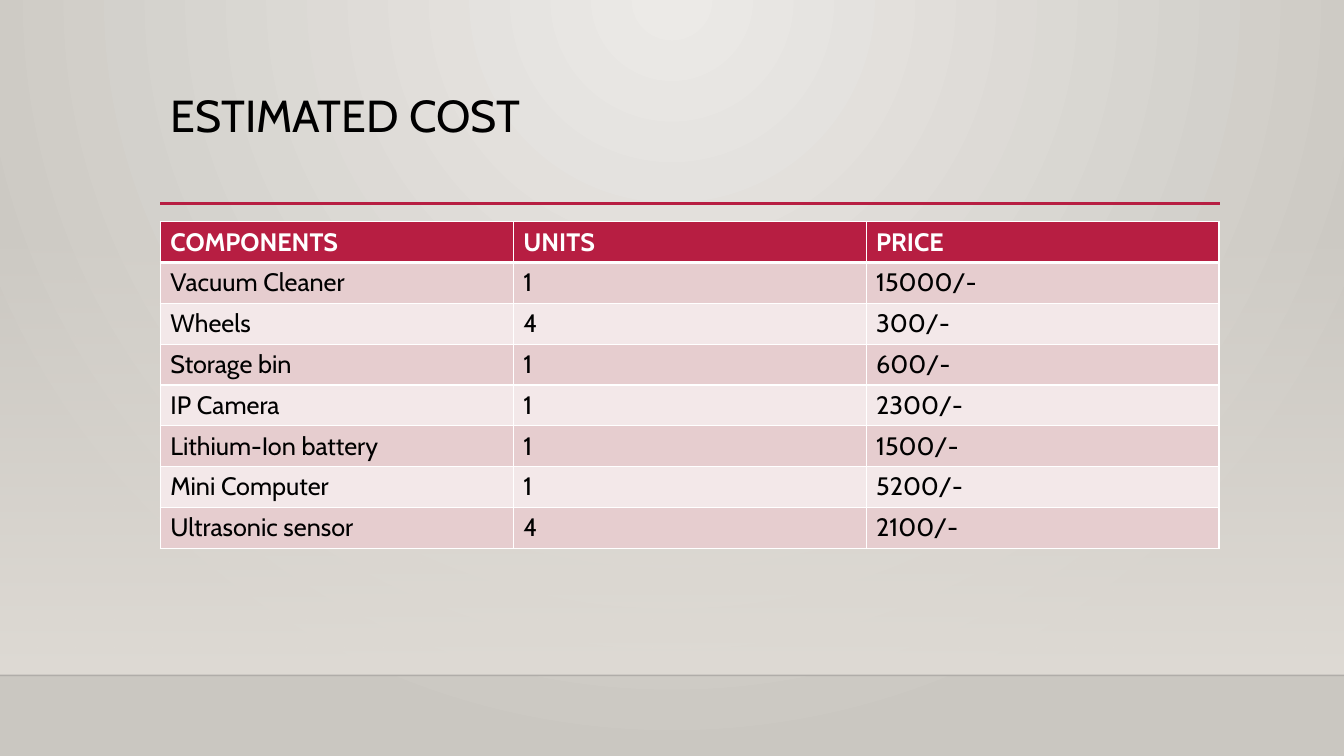
from pptx import Presentation
from pptx.dml.color import RGBColor as Rgb
from pptx.enum.shapes import MSO_CONNECTOR as Conn, MSO_SHAPE as Shape
from pptx.oxml import parse_xml
from pptx.oxml.ns import nsdecls, qn
from pptx.util import Pt

TITLE = "ESTIMATED COST"
ROWS = [
    ("COMPONENTS", "UNITS", "PRICE"),
    ("Vacuum Cleaner", "1", "15000/-"),
    ("Wheels", "4", "300/-"),
    ("Storage bin", "1", "600/-"),
    ("IP Camera", "1", "2300/-"),
    ("Lithium-Ion battery", "1", "1500/-"),
    ("Mini Computer", "1", "5200/-"),
    ("Ultrasonic sensor", "4", "2100/-"),
]
FONT = "Cabin"
RED, WHITE, BLACK = "B71E42", "FFFFFF", "000000"
BANDS = ["F3E8E9", "E6CDCF"]
SAND = "DFDBD5"
PX = 9144  # 100 px to the inch
WIDE, HIGH = 1333, 750
LEFT, SPAN = 159, 1050
FLOOR = 670
TOP, TALL = 220, 324


def px(*nums):
    return [round(n * PX) for n in nums]


def color(code):
    return Rgb.from_string(code)


def write(frame, text, size=18, ink=BLACK, bold=False, space=None):
    para = frame.paragraphs[0]
    para.line_spacing = space
    run = para.add_run()
    run.text = text
    font = run.font
    font.name, font.size, font.bold = FONT, Pt(size), bold
    font.color.rgb = color(ink)


def blend(fill, props, stops, shade):
    """Fill props with a gradient of (position, colour, opacity) stops."""
    fill.solid()
    marks = "".join(
        f'<a:gs pos="{pos * 1000}"><a:srgbClr val="{code}">'
        f'<a:alpha val="{alpha * 1000}"/></a:srgbClr></a:gs>'
        for pos, code, alpha in stops)
    grad = parse_xml(f'<a:gradFill {nsdecls("a")} rotWithShape="1">'
                     f'<a:gsLst>{marks}</a:gsLst>{shade}</a:gradFill>')
    old = props.find(qn("a:solidFill"))
    props.replace(old, grad)


def rule(slide, x1, x2, y, code, width, alpha=100):
    line = slide.shapes.add_connector(Conn.STRAIGHT, *px(x1, y, x2, y))
    line.line.width = Pt(width)
    line.line.color.rgb = color(code)
    props = line._element.spPr
    props.append(parse_xml(f'<a:effectLst {nsdecls("a")}/>'))
    ink = next(props.iter(qn("a:srgbClr")))
    ink.append(parse_xml(f'<a:alpha {nsdecls("a")} val="{alpha * 1000}"/>'))


def edge(cell, top, bottom):
    """Give the cell white borders, with top and bottom widths in points."""
    props = cell._tc.get_or_add_tcPr()
    for i, (side, width) in enumerate(
            [("L", 1), ("R", 1), ("T", top), ("B", bottom)]):
        props.insert(i, parse_xml(
            f'<a:ln{side} {nsdecls("a")} w="{Pt(width)}"><a:solidFill>'
            f'<a:srgbClr val="{WHITE}"/></a:solidFill></a:ln{side}>'))


def backdrop(slide):
    back = slide.background
    fill = back.fill
    fill.solid()
    blend(fill, slide._element.cSld.find(qn("p:bg")).find(qn("p:bgPr")),
          [(0, "ECEAE7", 100), (100, "CAC7C1", 100)],
          '<a:path path="circle"><a:fillToRect l="43000" t="0" '
          'r="43000" b="100000"/></a:path>')
    wall = slide.shapes.add_shape(Shape.RECTANGLE,
                                  *px(0, 221, WIDE, FLOOR - 221))
    wall.shadow.inherit = False
    wall.line.fill.background()
    blend(wall.fill, wall._element.spPr, [(0, SAND, 0), (100, SAND, 100)],
          '<a:lin ang="5400000" scaled="0"/>')
    rule(slide, 0, WIDE, FLOOR, "000001", 1, alpha=20)


def costs(slide):
    count, cols = len(ROWS), len(ROWS[0])
    table = slide.shapes.add_table(count, cols,
                                   *px(LEFT, TOP, SPAN, TALL)).table
    for col in table.columns:
        col.width = px(SPAN / cols)[0]
    for r, row in enumerate(ROWS):
        table.rows[r].height = px(TALL / count)[0]
        head = r == 0
        for c, text in enumerate(row):
            cell = table.cell(r, c)
            cell.fill.solid()
            cell.fill.fore_color.rgb = color(RED if head else BANDS[r % 2])
            edge(cell, 3 if r == 1 else 1, 3 if head else 1)
            write(cell.text_frame, text, ink=WHITE if head else BLACK,
                  bold=head)


def main():
    deck = Presentation()
    deck.slide_width, deck.slide_height = px(WIDE, HIGH)
    slide = deck.slides.add_slide(deck.slide_layouts[6])
    backdrop(slide)
    rule(slide, LEFT, 1210, 202, RED, 2.5)
    title = slide.shapes.add_textbox(*px(LEFT, 88, SPAN, 115)).text_frame
    title.word_wrap = True
    write(title, TITLE, size=32, space=0.9)
    costs(slide)
    deck.save("out.pptx")


if __name__ == "__main__":
    main()
